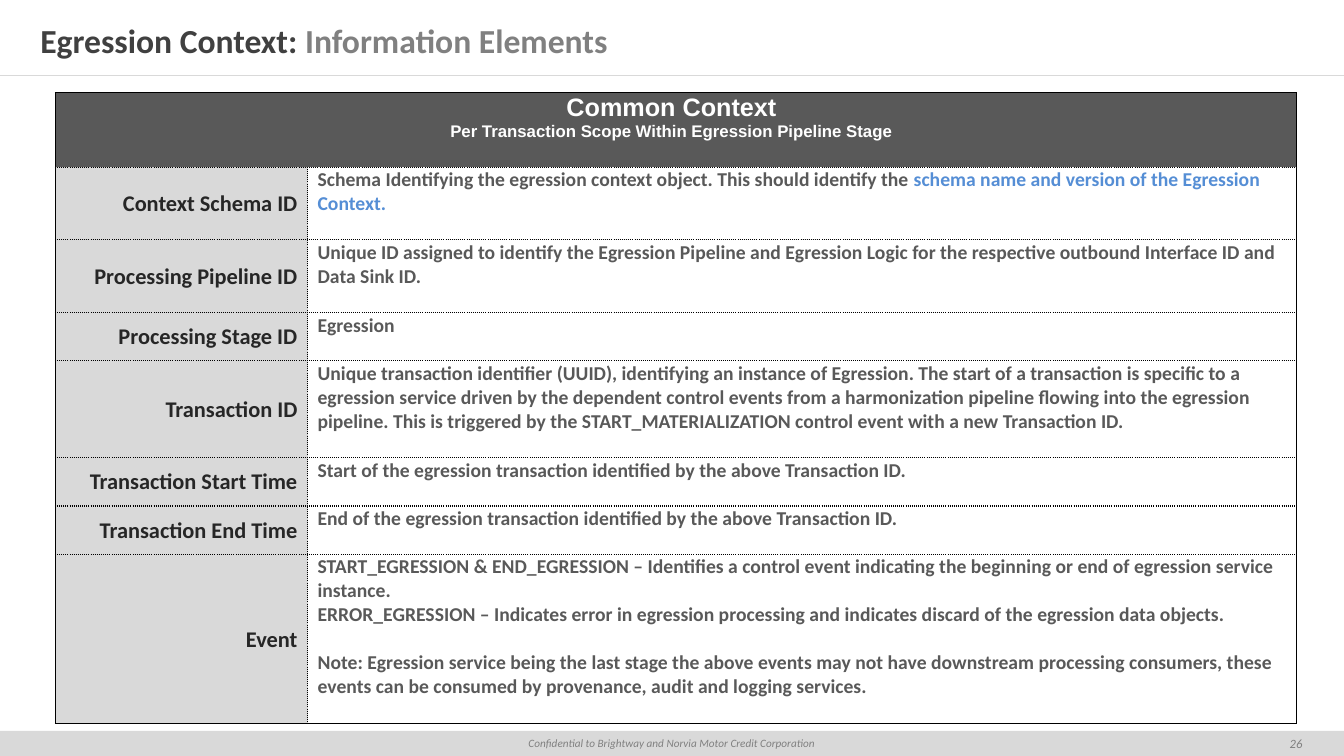
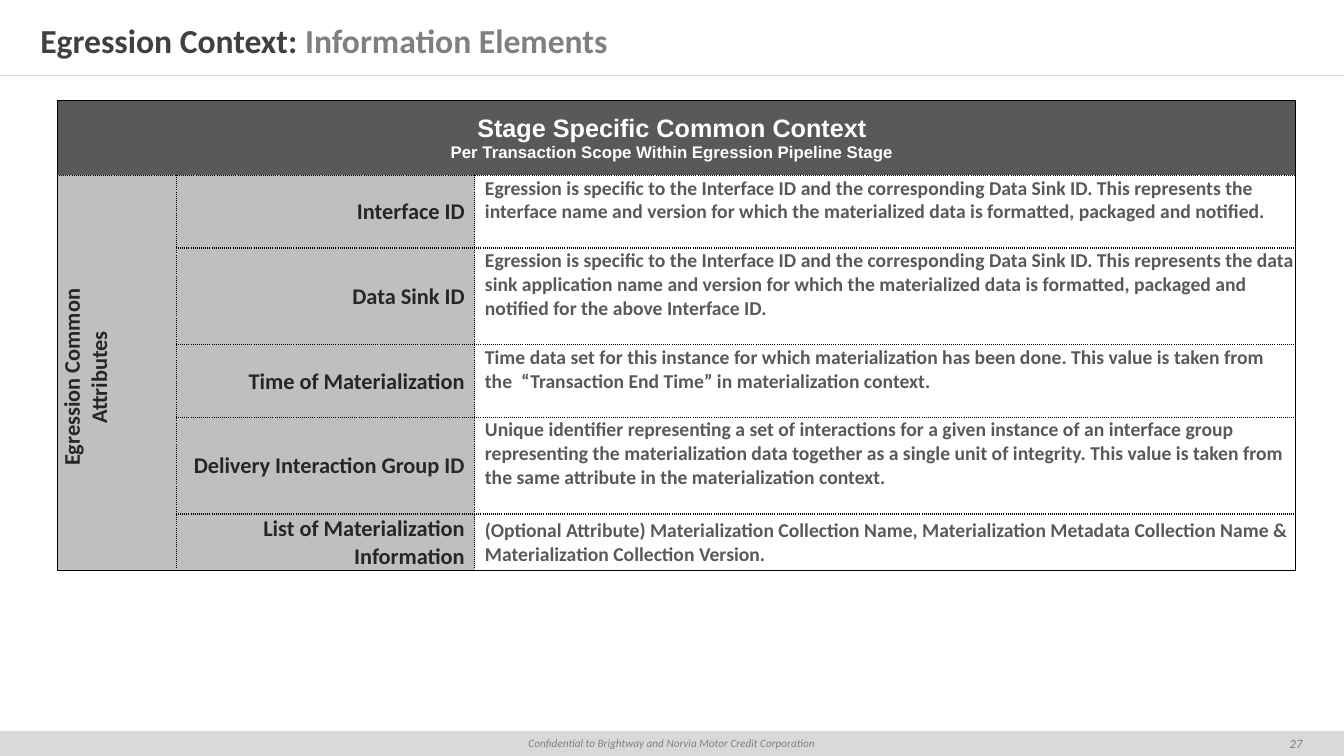
from lxml import etree
from pptx import Presentation
from pptx import util as u
from pptx.dml.color import RGBColor
from pptx.enum import shapes, text
from pptx.oxml import ns

WIDTH, HEIGHT = 13.33, 7.5
BAND_TOP = 7.25
WHITE, BLACK, BAND, GREY = "FFFFFF", "000000", "D9D9D9", "808080"
HEADER_FILL, LABEL_DARK, LINK = "595959", "BFBFBF", "558ED5"
LEFT, CENTER, RIGHT = text.PP_ALIGN.LEFT, text.PP_ALIGN.CENTER, text.PP_ALIGN.RIGHT
TOP, MIDDLE = text.MSO_ANCHOR.TOP, text.MSO_ANCHOR.MIDDLE

FOOTER = dict(name="Calibri", size=8, italic=True, color=GREY)
NUMBER = dict(FOOTER, size=9)
TITLE = dict(name="Calibri", size=24, bold=True, color="404040")
SUBTITLE = dict(TITLE, color=GREY)
HEADING = dict(name="Arial", size=18, bold=True, color=WHITE)
SUBHEADING = dict(HEADING, size=12)
LABEL = dict(name="Calibri", size=16, bold=True, color="262626")
BODY = dict(LABEL, size=14, color="595959")
HIGHLIGHT = dict(BODY, color=LINK)

HEADER_HEIGHT = 0.74
LINE_HEIGHT = 0.24
LABEL_INSETS = (0.01, 0.01, 0.1, 0)
BODY_INSETS = (0.1, 0.01, 0.01, 0)
SCOPE = "Per Transaction Scope Within Egression Pipeline Stage"

# Each row: label, lines of text, paragraphs (each a list of runs)
COMMON_ROWS = [
    ("Context Schema ID", 2, [[
        ("Schema Identifying the egression context object. This should identify the ", BODY),
        ("schema name and version of the Egression Context.", HIGHLIGHT)]]),
    ("Processing Pipeline ID", 2, [[
        ("Unique ID assigned to identify the Egression Pipeline and Egression Logic for the "
         "respective outbound Interface ID and Data Sink ID.", BODY)]]),
    ("Processing Stage ID", 1, [[("Egression", BODY)]]),
    ("Transaction ID", 3, [[
        ("Unique transaction identifier (UUID), identifying an instance of Egression. The start "
         "of a transaction is specific to a egression service driven by the dependent control "
         "events from a harmonization pipeline flowing into the egression pipeline. This is "
         "triggered by the START_MATERIALIZATION control event with a new Transaction ID.", BODY)]]),
    ("Transaction Start Time", 1, [[
        ("Start of the egression transaction identified by the above Transaction ID.", BODY)]]),
    ("Transaction End Time", 1, [[
        ("End of the egression transaction identified by the above Transaction ID.", BODY)]]),
    ("Event", 6, [
        [("START_EGRESSION & END_EGRESSION – Identifies a control event indicating the beginning "
          "or end of egression service instance.", BODY)],
        [("ERROR_EGRESSION – Indicates error in egression processing and indicates discard of "
          "the egression data objects.", BODY)],
        [("Note: Egression service being the last stage the above events may not have downstream "
          "processing consumers, these events can be consumed by provenance, audit and logging "
          "services.", BODY)]]),
]
STAGE_ROWS = [
    ("Interface ID", 2, [[
        ("Egression is specific to the Interface ID and the corresponding Data Sink ID. This "
         "represents the interface name and version for which the materialized data is "
         "formatted, packaged and notified.", BODY)]]),
    ("Data Sink ID", 3, [[
        ("Egression is specific to the Interface ID and the corresponding Data Sink ID. This "
         "represents the data sink application name and version for which the materialized data "
         "is formatted, packaged and notified for the above Interface ID.", BODY)]]),
    ("Time of Materialization", 2, [[
        ("Time data set for this instance for which materialization has been done. This value is "
         "taken from the  “Transaction End Time” in materialization context.", BODY)]]),
    ("Delivery Interaction Group ID", 3, [[
        ("Unique identifier representing a set of interactions for a given instance of an "
         "interface group representing the materialization data together as a single unit of "
         "integrity. This value is taken from the same attribute in the materialization "
         "context.", BODY)]]),
    ("List of Materialization Information", 2, [[
        ("(Optional Attribute) Materialization Collection Name, Materialization Metadata "
         "Collection Name & Materialization Collection Version.", BODY)]]),
]


def rgb(value):
    return RGBColor.from_string(value)


def fill_solid(target, color):
    target.fill.solid()
    target.fill.fore_color.rgb = rgb(color)


def write(tf, paragraphs, align=LEFT):
    """Fill a text frame; each paragraph is a list of (text, format) runs."""
    for i, runs in enumerate(paragraphs):
        p = tf.add_paragraph() if i else tf.paragraphs[0]
        p.alignment = align
        for content, style in runs:
            r = p.add_run()
            r.text = content
            for key, value in style.items():
                if key == "color":
                    r.font.color.rgb = rgb(value)
                else:
                    setattr(r.font, key, u.Pt(value) if key == "size" else value)


def set_insets(target, insets):
    for side, value in zip(("left", "top", "right", "bottom"), insets):
        setattr(target, f"margin_{side}", u.Inches(value))


def add_text(s, box, runs, align=LEFT, inset=0):
    tf = s.shapes.add_textbox(*map(u.Inches, box)).text_frame
    tf.word_wrap = True
    tf.vertical_anchor = MIDDLE
    set_insets(tf, (inset, 0, inset, 0))
    write(tf, [runs], align)


def add_frame(s, number):
    """Add the footer band, title rule, page number and title."""
    band = s.shapes.add_shape(shapes.MSO_SHAPE.RECTANGLE, 0, u.Inches(BAND_TOP),
                              u.Inches(WIDTH), u.Inches(HEIGHT - BAND_TOP))
    band.shadow.inherit = False
    fill_solid(band, BAND)
    band.line.fill.background()
    set_insets(band.text_frame, (0, 0, 0, 0))
    band.text_frame.vertical_anchor = MIDDLE
    write(band.text_frame,
          [[("Confidential to Brightway and Norvia Motor Credit Corporation", FOOTER)]], CENTER)

    rule = s.shapes.add_connector(shapes.MSO_CONNECTOR.STRAIGHT, 0, u.Inches(0.75),
                                  u.Inches(WIDTH), u.Inches(0.75))
    rule.line.color.rgb = rgb(BAND)
    rule.line.width = u.Pt(0.25)
    etree.SubElement(rule._element.spPr, ns.qn("a:effectLst"))

    add_text(s, (12.5, BAND_TOP, 0.71, 0.25), [(str(number), NUMBER)], CENTER)
    add_text(s, (0, 0.16, WIDTH, 0.48),
             [("Egression Context: ", TITLE), ("Information Elements", SUBTITLE)], inset=0.4)


def set_borders(cell, outer):
    """Draw solid lines on the sides listed in outer and dotted lines elsewhere."""
    tc_pr = cell._tc.get_or_add_tcPr()
    for side in "LRTB":
        ln = etree.SubElement(tc_pr, ns.qn(f"a:ln{side}"), w=str(u.Pt(1)))
        solid = etree.SubElement(ln, ns.qn("a:solidFill"))
        etree.SubElement(solid, ns.qn("a:srgbClr"), val=BLACK)
        etree.SubElement(ln, ns.qn("a:prstDash"), val="solid" if side in outer else "sysDot")


def fill_cell(cell, paragraphs, color, align, anchor, insets=LABEL_INSETS):
    fill_solid(cell, color)
    cell.vertical_anchor = anchor
    set_insets(cell, insets)
    write(cell.text_frame, paragraphs, align)


def add_context_table(s, origin, columns, heading, rows, label_fill,
                      heading_anchor=MIDDLE, group=None):
    """Add a heading row above label and description rows, with an optional group column."""
    heights = [HEADER_HEIGHT] + [LINE_HEIGHT * (lines + 1) for _, lines, _ in rows]
    n_rows, n_cols = len(heights), len(columns)
    table = s.shapes.add_table(n_rows, n_cols, *map(
        u.Inches, (*origin, sum(columns), sum(heights)))).table
    table.first_row = table.horz_banding = False
    for column, width in zip(table.columns, columns):
        column.width = u.Inches(width)
    for row, height in zip(table.rows, heights):
        row.height = u.Inches(height)

    table.cell(0, 0).merge(table.cell(0, n_cols - 1))
    if group:
        table.cell(1, 0).merge(table.cell(n_rows - 1, 0))
    for i in range(n_rows):
        for j in range(n_cols):
            cell = table.cell(i, j)
            at_edge = {"L": j == 0, "R": j + cell.span_width == n_cols,
                       "T": i == 0, "B": i + cell.span_height == n_rows}
            set_borders(cell, [side for side, edge in at_edge.items() if edge])

    fill_cell(table.cell(0, 0), [[(heading, HEADING)], [(SCOPE, SUBHEADING)]],
              HEADER_FILL, CENTER, heading_anchor)
    if group:
        cell = table.cell(1, 0)
        fill_cell(cell, [[(line, LABEL)] for line in group], label_fill, CENTER, TOP)
        cell._tc.get_or_add_tcPr().set("vert", "vert270")
    for i, (label, _, paragraphs) in enumerate(rows, 1):
        fill_cell(table.cell(i, n_cols - 2), [[(label, LABEL)]], label_fill, RIGHT, MIDDLE)
        fill_cell(table.cell(i, n_cols - 1), paragraphs, WHITE, LEFT, TOP, BODY_INSETS)
    return table


def main():
    prs = Presentation()
    prs.slide_width, prs.slide_height = u.Inches(WIDTH), u.Inches(HEIGHT)
    common, stage = (prs.slides.add_slide(prs.slide_layouts[6]) for _ in range(2))
    for number, s in enumerate((common, stage), 26):
        add_frame(s, number)

    table = add_context_table(common, (0.55, 0.92), (2.5, 9.81), "Common Context",
                              COMMON_ROWS, BAND, heading_anchor=TOP)
    event_note = table.cell(len(COMMON_ROWS), 1).text_frame.paragraphs[-1]
    event_note.space_before = u.Pt(17)

    table = add_context_table(stage, (0.57, 1), (1.18, 2.96, 8.14),
                              "Stage Specific Common Context", STAGE_ROWS, LABEL_DARK,
                              group=("Egression Common", "Attributes"))
    last = len(STAGE_ROWS)
    table.rows[last].height = u.Inches(0.56)
    table.cell(last, 2).vertical_anchor = MIDDLE

    prs.save("out.pptx")


if __name__ == "__main__":
    main()
